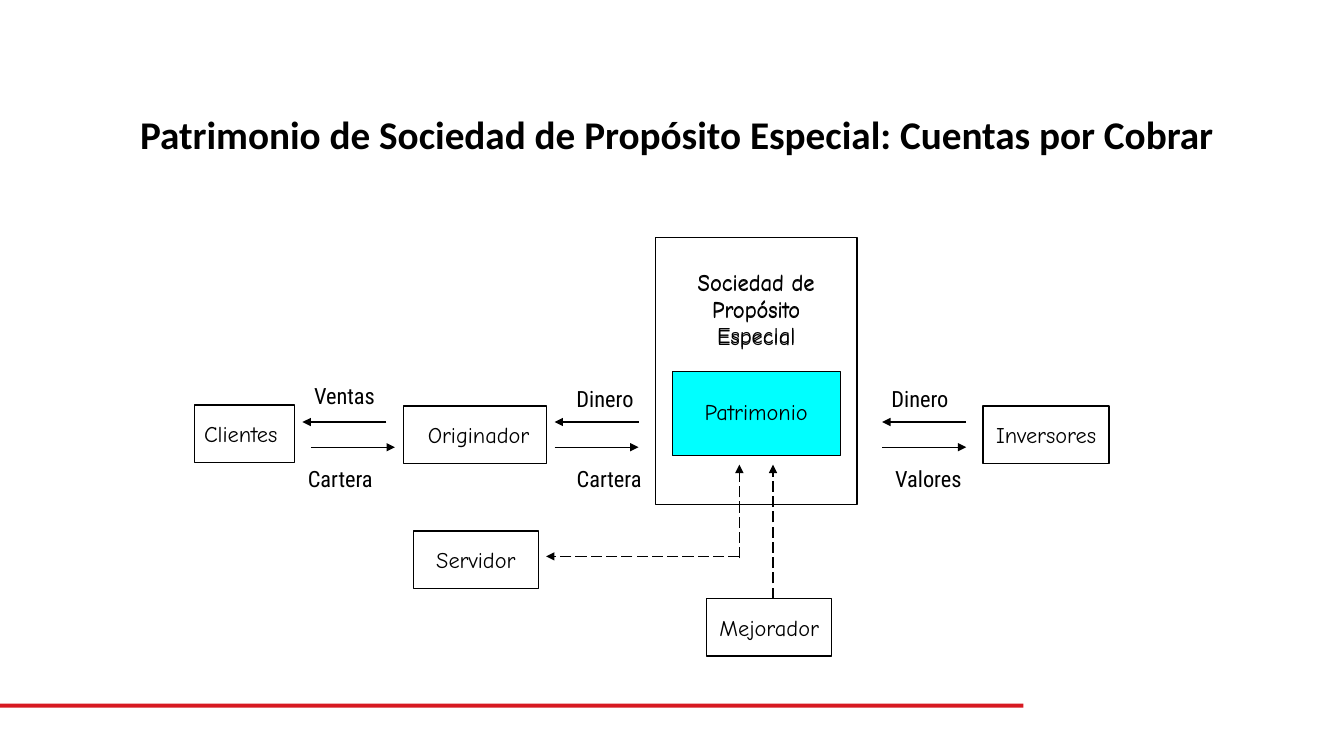
"""Diagram of a special purpose company and its receivables."""
from dataclasses import dataclass
from lxml.etree import SubElement
from pptx import Presentation
from pptx.dml.color import RGBColor
from pptx.enum.dml import MSO_LINE
from pptx.enum.shapes import MSO_CONNECTOR, MSO_SHAPE
from pptx.enum.text import MSO_ANCHOR, PP_ALIGN
from pptx.oxml.ns import qn
from pptx.util import Inches, Pt


@dataclass(frozen=True)
class Theme:
    ink: str = "000000"
    paper: str = "FFFFFF"
    accent: str = "00FFFF"
    footer: str = "D71921"
    title_font: str = "Calibri"
    box_font: str = "Comic Neue"
    flow_font: str = "Roboto Condensed"
    title_size: int = 28
    text_size: int = 16
    line: float = 1
    thin: float = 0.75


T = Theme()
CELLS_PER_INCH = 12
TOP_OFFSET = 0.02
BOX_H = 6.84
LABEL_H = 4.32

TITLE = ("Patrimonio de Sociedad de Propósito Especial: Cuentas por Cobrar",
         (13.8, 12.24, 133.44, BOX_H))
FOOTER = (0, 83.52, 121.8, 0.48)
FRAME = (78, 28.05, 24, 31.8)
ASSET = (80, 44.04, 20, 10)
BOXES = [
    ("Clientes ", 23.16, 48, 11.88),
    (" Originador", 48, 48.12, 17.04),
    ("Inversores", 117, 48.12, 15),
    ("Servidor", 49.2, 63, 14.88),
    ("Mejorador", 84.12, 71.04, 14.88),
]
FLOW_LABELS = [
    ("Ventas", 36, 44.64, 10),
    ("Cartera", 34, 54.6, 13),
    ("Dinero", 67, 45, 10),
    ("Cartera", 67, 54.6, 11),
    ("Dinero", 104, 45, 11),
    ("Valores", 105, 54.6, 11),
]
INNER_LABELS = [
    ("Sociedad de Propósito Especial", (80, 31.2, 20, 10.8)),
    ("Sociedad de Propósito Especial", (80, 31.05, 20, 10.8)),
    ("Patrimonio", (82, 46.56, 16, 4.44)),
]
FLOWS = [(36, 37), (66, 66), (105, 105)]
FLOW_SPAN, BACK_ROW, FORTH_ROW = 10, 50, 53
SUPPORT = [
    ((88, 66.24), (88, 55.08)),
    ((88, 66), (65, 66)),
    ((92, 71.04), (92, 55.08)),
]


def x(col):
    return Inches(col / CELLS_PER_INCH)


def y(row):
    return Inches(row / CELLS_PER_INCH + TOP_OFFSET)


def place(cell):
    col, row, w, h = cell
    return x(col), y(row), x(w), x(h)


def apply(target, **values):
    for name, value in values.items():
        setattr(target, name, value)


def write(sp, text, font, size=T.text_size, bold=False, wrap=True, anchor=MSO_ANCHOR.TOP):
    tf = sp.text_frame
    apply(tf, word_wrap=wrap, vertical_anchor=anchor)
    p = tf.paragraphs[0]
    p.alignment = PP_ALIGN.CENTER
    r = p.add_run()
    r.text = text
    apply(r.font, name=font, size=Pt(size), bold=bold)
    r.font.color.rgb = RGBColor.from_string(T.ink)


def add_box(s, cell, fill, width=None):
    sp = s.shapes.add_shape(MSO_SHAPE.RECTANGLE, *place(cell))
    sp.shadow.inherit = False
    sp.fill.solid()
    sp.fill.fore_color.rgb = RGBColor.from_string(fill)
    if width is None:
        sp.line.fill.background()
    else:
        sp.line.color.rgb = RGBColor.from_string(T.ink)
        sp.line.width = Pt(width)
    return sp


def add_label(s, text, cell, font, **style):
    write(s.shapes.add_textbox(*place(cell)), text, font, **style)


def add_arrow(s, start, end, dash=None):
    c = s.shapes.add_connector(MSO_CONNECTOR.STRAIGHT, x(start[0]), y(start[1]),
                               x(end[0]), y(end[1]))
    c.line.color.rgb = RGBColor.from_string(T.ink)
    apply(c.line, width=Pt(T.line), dash_style=dash)
    SubElement(c.line._get_or_add_ln(), qn("a:tailEnd"), type="triangle")
    SubElement(c._element.spPr, qn("a:effectLst"))


def main():
    prs = Presentation()
    apply(prs, slide_width=Inches(13.33), slide_height=Inches(7.5))
    s = prs.slides.add_slide(prs.slide_layouts[6])

    add_box(s, FOOTER, T.footer)
    add_label(s, *TITLE, T.title_font, size=T.title_size, bold=True,
              anchor=MSO_ANCHOR.MIDDLE)
    add_box(s, FRAME, T.paper, T.line)
    add_box(s, ASSET, T.accent, T.thin)
    for text, col, row, w in BOXES:
        sp = add_box(s, (col, row, w, BOX_H), T.paper, T.line)
        write(sp, text, T.box_font, wrap=False, anchor=MSO_ANCHOR.MIDDLE)
    for text, col, row, w in FLOW_LABELS:
        add_label(s, text, (col, row, w, LABEL_H), T.flow_font)
    for text, cell in INNER_LABELS:
        add_label(s, text, cell, T.box_font)
    for back, forth in FLOWS:
        add_arrow(s, (back + FLOW_SPAN, BACK_ROW), (back, BACK_ROW))
        add_arrow(s, (forth, FORTH_ROW), (forth + FLOW_SPAN, FORTH_ROW))
    for start, end in SUPPORT:
        add_arrow(s, start, end, MSO_LINE.LONG_DASH)

    prs.save("out.pptx")


if __name__ == "__main__":
    main()
